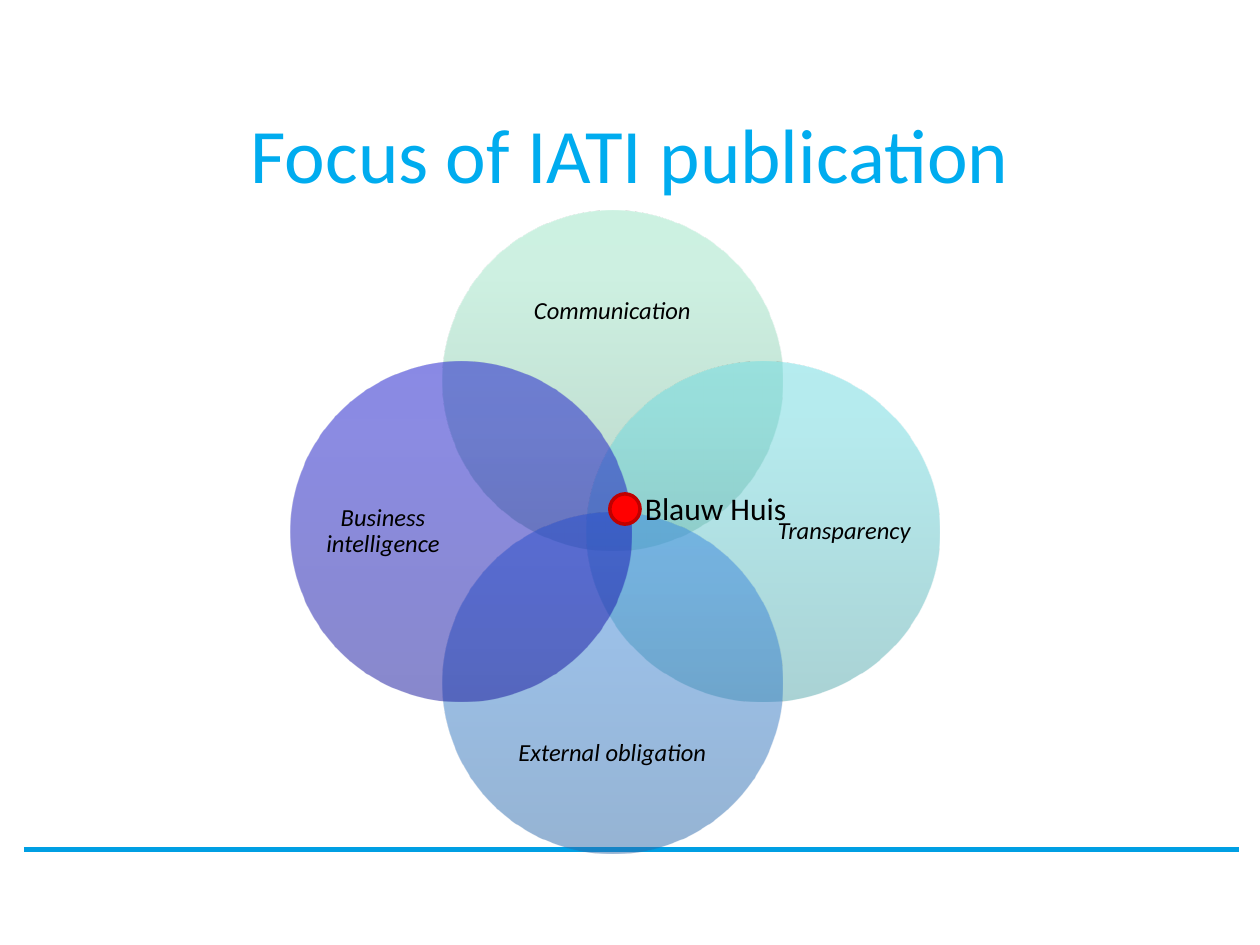
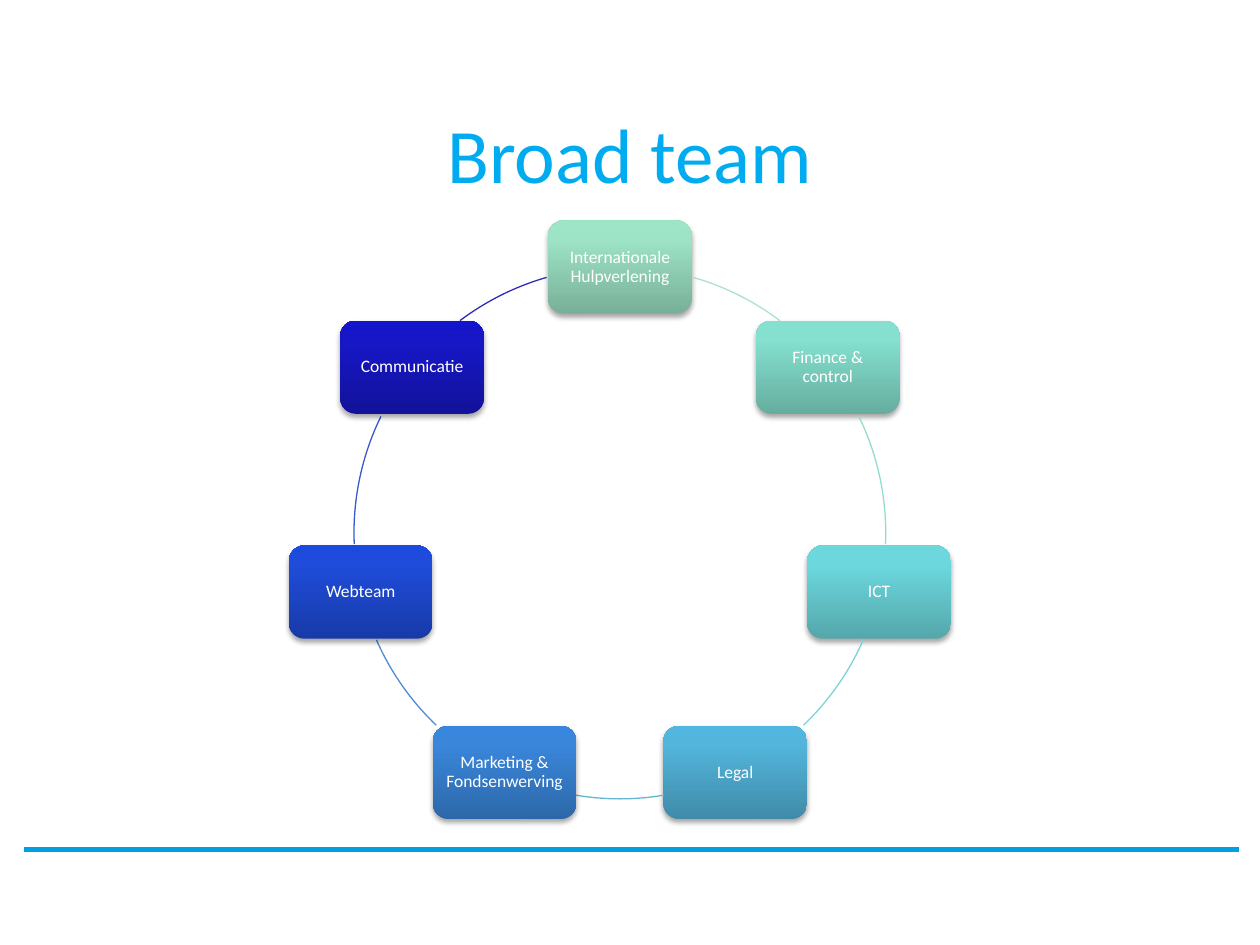
from math import cos, radians, sin

from pptx import Presentation
from pptx.dml.color import RGBColor
from pptx.enum.shapes import MSO_CONNECTOR, MSO_SHAPE
from pptx.enum.text import MSO_ANCHOR, MSO_AUTO_SIZE, PP_ALIGN
from pptx.oxml import parse_xml
from pptx.oxml.ns import nsdecls
from pptx.util import Inches, Pt

rgb = RGBColor.from_string

TITLE_COLOUR, RULE_COLOUR = "00ACEF", "009FE3"
BLACK, WHITE = "000000", "FFFFFF"
# Gradient stops from bottom to top
MINT = ("79AF98", "9DE3C5", "9CE6C6")
SEA = ("66AD9F", "85E0CF", "84E3D1")
TURQUOISE = ("54A7AB", "6CD8DE", "6BDBE1")
SKY = ("408BA9", "53B5DC", "51B7E0")
BLUE = ("2C68A9", "3A86DB", "3787DF")
ROYAL = ("183AA8", "1F4CDA", "1C4ADF")
NAVY = ("12129A", "1717C8", "1414CC")

SHADOW = (f'<a:outerShdw {nsdecls("a")} blurRad="{Pt(3.1)}" dist="{Pt(1.8)}" dir="5400000" '
          'rotWithShape="0"><a:srgbClr val="000000"><a:alpha val="35000"/></a:srgbClr></a:outerShdw>')


def write(shape, text, size, colour, margins=(0, 0), align=PP_ALIGN.CENTER,
          spacing=0.9, wrap=True, italic=False):
    frame = shape.text_frame
    side, top = (Inches(margin) for margin in margins)
    layout = {"margin_left": side, "margin_right": side, "margin_top": top, "margin_bottom": top,
              "word_wrap": wrap, "auto_size": MSO_AUTO_SIZE.NONE, "vertical_anchor": MSO_ANCHOR.MIDDLE}
    for name, value in layout.items():
        setattr(frame, name, value)
    paragraph = frame.paragraphs[0]
    paragraph.text = text
    paragraph.alignment = align
    paragraph.line_spacing = spacing
    for name, value in {"name": "Calibri", "size": Pt(size), "italic": italic}.items():
        setattr(paragraph.font, name, value)
    paragraph.font.color.rgb = rgb(colour)


def add_gradient_shape(slide, kind, box, colours, opacity=100):
    shape = slide.shapes.add_shape(kind, *map(Inches, box))
    stops = "".join(
        f'<a:gs pos="{position}000"><a:srgbClr val="{colour}"><a:alpha val="{opacity}000"/></a:srgbClr></a:gs>'
        for position, colour in zip((0, 80, 100), colours))
    gradient = parse_xml(f'<a:gradFill {nsdecls("a")} rotWithShape="1"><a:gsLst>{stops}</a:gsLst>'
                         '<a:lin ang="16200000" scaled="0"/></a:gradFill>')
    shape._element.spPr.insert(2, gradient)
    shape.line.fill.background()
    shape.shadow.inherit = False
    return shape


presentation = Presentation()
presentation.slide_width, presentation.slide_height = Inches(10), Inches(7.5)

# Titles and bottom rule on both slides
slides = []
for title_text in ("Focus of IATI publication", "Broad team"):
    slide = presentation.slides.add_slide(presentation.slide_layouts[5])
    rule = slide.shapes.add_connector(MSO_CONNECTOR.STRAIGHT, Inches(0.19), Inches(6.74),
                                      Inches(9.83), Inches(6.74))
    rule.line.color.rgb = rgb(RULE_COLOUR)
    rule.line.width = Pt(3)
    rule._element.spPr.append(parse_xml(f'<a:effectLst {nsdecls("a")}/>'))
    title = slide.shapes.title
    for name, value in {"left": 0.5, "top": 0.43, "width": 9, "height": 1.57}.items():
        setattr(title, name, Inches(value))
    write(title, title_text, 44, TITLE_COLOUR, margins=(0.1, 0.05), spacing=1)
    slides.append(slide)
focus_slide, team_slide = slides

# Four overlapping circles: direction, width, colours, label, label box
VENN_X, VENN_Y, VENN_OFFSET, CIRCLE = 4.86, 4.22, 1.2, 2.7
circles = [
    ((0, -1), CIRCLE, MINT, "Communication", (3.82, 2.04, 2.08, 0.86)),
    ((1, 0), 2.8, TURQUOISE, "Transparency", (6.16, 3.18, 1.08, 2.08)),
    ((0, 1), CIRCLE, BLUE, "External obligation", (3.82, 5.55, 2.08, 0.86)),
    ((-1, 0), CIRCLE, NAVY, "Business\nintelligence", (2.52, 3.18, 1.04, 2.08)),
]
for (across, down), width, colours, label, label_box in circles:
    left = VENN_X + across * VENN_OFFSET - width / 2
    top = VENN_Y + down * VENN_OFFSET - CIRCLE / 2
    add_gradient_shape(focus_slide, MSO_SHAPE.OVAL, (left, top, width, CIRCLE), colours, opacity=50)
    write(focus_slide.shapes.add_textbox(*map(Inches, label_box)), label, 14, BLACK, italic=True)

# Marker in the overlap
marker = focus_slide.shapes.add_shape(MSO_SHAPE.OVAL, *map(Inches, (4.84, 3.92, 0.24, 0.24)))
marker.fill.solid()
marker.fill.fore_color.rgb = rgb("FF0000")
marker.line.color.rgb = rgb("C00000")
marker.line.width = Pt(2)
marker.shadow.inherit = False
marker_label = focus_slide.shapes.add_textbox(*map(Inches, (5.02, 3.83, 1.29, 0.4)))
write(marker_label, "Blauw Huis", 18, BLACK, margins=(0.1, 0.05), align=PP_ALIGN.LEFT,
      spacing=1, wrap=False)

# Ring of teams, clockwise from the top, each with the colour of the arc after it
RING_X, RING_Y, RADIUS = 4.92, 4.23, 2.11
NODE_WIDTH, NODE_HEIGHT = 1.14, 0.74
teams = [
    ("Internationale Hulpverlening", MINT, "AAE2CA"),
    ("Finance & control", SEA, "94DCCF"),
    ("ICT", TURQUOISE, "7DD3D7"),
    ("Legal", SKY, "66B4D3"),
    ("Marketing & Fondsenwerving", BLUE, "4F8CCF"),
    ("Webteam", ROYAL, "375ACB"),
    ("Communicatie", NAVY, "2D2DB9"),
]
# Arc ends in degrees from the top; the left half mirrors the right
right_arcs = [(16, 37), (64, 92.4), (113.7, 136.3)]
left_arcs = [(360 - end, 360 - start) for start, end in reversed(right_arcs)]
arcs = right_arcs + [(170.5, 189.5)] + left_arcs

for index, ((team, colours, arc_colour), ends) in enumerate(zip(teams, arcs)):
    angle = radians(index * 360 / len(teams))
    left = RING_X + RADIUS * sin(angle) - NODE_WIDTH / 2
    top = RING_Y - RADIUS * cos(angle) - NODE_HEIGHT / 2
    node = add_gradient_shape(team_slide, MSO_SHAPE.ROUNDED_RECTANGLE,
                              (left, top, NODE_WIDTH, NODE_HEIGHT), colours)
    node._element.spPr.find("{*}effectLst").append(parse_xml(SHADOW))
    write(node, team, 10, WHITE, margins=(0.04, 0.04))

    arc = team_slide.shapes.add_shape(MSO_SHAPE.ARC, Inches(RING_X - RADIUS), Inches(RING_Y - RADIUS),
                                      Inches(2 * RADIUS), Inches(2 * RADIUS))
    for number, degrees in enumerate(ends):
        # Arc angles start at the right, in units of 0.6 per degree
        arc.adjustments[number] = (degrees - 90) % 360 * 0.6
    arc.fill.background()
    arc.line.color.rgb = rgb(arc_colour)
    arc.line.width = Pt(0.75)
    arc.shadow.inherit = False

presentation.save("out.pptx")
